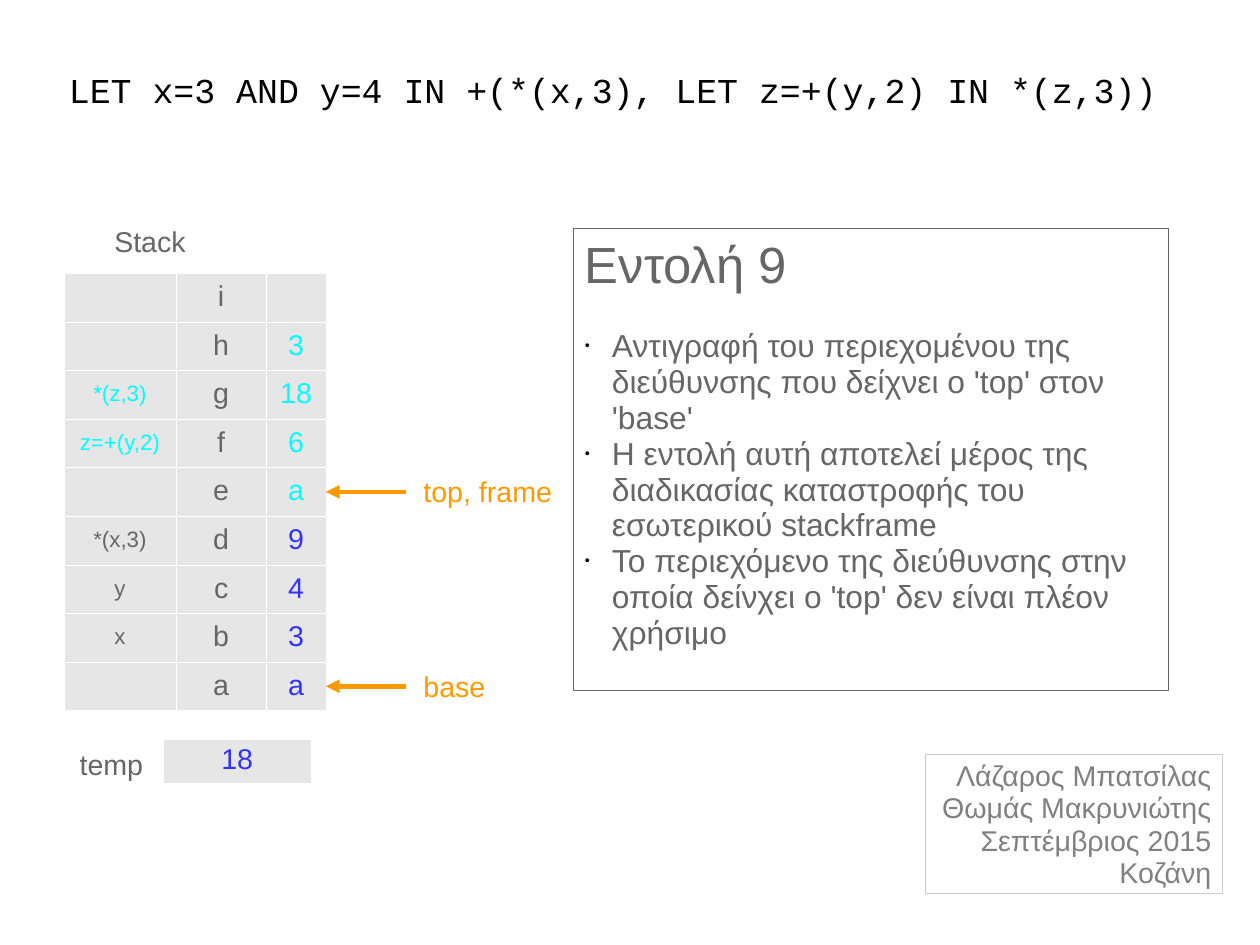
import pptx
import pptx.dml.color
import pptx.enum.shapes
import pptx.enum.text
import pptx.oxml
import pptx.oxml.ns
import pptx.util
from pptx.util import Cm

GREY, BLUE, CYAN, ORANGE = "666666", "3333FF", "00FFFF", "FF9900"
ALIGN = pptx.enum.text.PP_ALIGN
ANCHOR = pptx.enum.text.MSO_ANCHOR


def color(hex_string):
    return pptx.dml.color.RGBColor.from_string(hex_string)


def add_xml(parent, xml, index=None):
    """Parse a drawing element and put it into its parent."""
    tag, rest = xml[1:].split(" ", 1)
    namespace = pptx.oxml.ns.nsdecls("a")
    element = pptx.oxml.parse_xml(f"<{tag} {namespace} {rest}")
    parent.insert(len(parent) if index is None else index, element)


def write_text(text, paragraph, size=18, font="Arial", hex_color=GREY,
               align=ALIGN.LEFT, spacing=0.94, after=0, bullet=False):
    paragraph.alignment = align
    paragraph.line_spacing = spacing
    paragraph.space_after = pptx.util.Pt(after)
    run = paragraph.add_run()
    run.text = text
    run.font.size = pptx.util.Pt(size)
    run.font.name = font
    run.font.color.rgb = color(hex_color)
    if bullet:
        properties = paragraph._p.get_or_add_pPr()
        properties.set("marL", str(Cm(0.6)))
        properties.set("indent", str(-Cm(0.6)))
        add_xml(properties, '<a:buClr ><a:srgbClr val="000000"/></a:buClr>')
        add_xml(properties, '<a:buSzPct val="45000"/>')
        add_xml(properties, '<a:buFont typeface="Arial"/>')
        add_xml(properties, '<a:buChar char="•"/>')


class StackSlide:
    def __init__(self, presentation):
        self.shapes = presentation.slides.add_slide(presentation.slide_layouts[6]).shapes
        self.cell_fill = "E6E6E6"
        self.cell_border = "FFFFFF"

    def fill_frame(self, frame, lines, top, **text_format):
        """Write a list of (text, own format) pairs into a frame."""
        frame.word_wrap = True
        frame.margin_left = frame.margin_right = Cm(0.25)
        frame.margin_top, frame.margin_bottom = Cm(top), Cm(0.13)
        frame.vertical_anchor = ANCHOR.TOP
        for number, (text, own_format) in enumerate(lines):
            paragraph = frame.add_paragraph() if number else frame.paragraphs[0]
            write_text(text, paragraph, **{**text_format, **own_format})

    def label(self, text, left, top, width, height=0.97, **text_format):
        shape = self.shapes.add_textbox(Cm(left), Cm(top), Cm(width), Cm(height))
        self.fill_frame(shape.text_frame, [(text, {})], 0.15, **text_format)
        return shape

    def box(self, lines, left, top, width, height, line_color, inset, **text_format):
        shape = self.shapes.add_shape(pptx.enum.shapes.MSO_SHAPE.RECTANGLE,
                                      Cm(left), Cm(top), Cm(width), Cm(height))
        shape.shadow.inherit = False
        shape.fill.background()
        shape.line.color.rgb = color(line_color)
        shape.line.width = pptx.util.Pt(0.75)
        self.fill_frame(shape.text_frame, lines, inset, **text_format)

    def table(self, rows, left, top, widths, row_height, anchor):
        """Each cell is None or a (text, size, colour) triple."""
        table = self.shapes.add_table(len(rows), len(widths), Cm(left), Cm(top),
                                      Cm(sum(widths)), Cm(row_height * len(rows))).table
        table.first_row = table.horz_banding = False
        for column, width in zip(table.columns, widths):
            column.width = Cm(width)
        for row, contents in zip(table.rows, rows):
            row.height = Cm(row_height)
            for cell, content in zip(row.cells, contents):
                self.style_cell(cell, anchor)
                if content:
                    text, size, hex_color = content
                    write_text(text, cell.text_frame.paragraphs[0], size=size,
                               hex_color=hex_color, align=ALIGN.CENTER)

    def style_cell(self, cell, anchor):
        cell.vertical_anchor = anchor
        cell.fill.solid()
        cell.fill.fore_color.rgb = color(self.cell_fill)
        for index, side in enumerate("LRTB"):
            add_xml(cell._tc.get_or_add_tcPr(),
                    f'<a:ln{side} w="762"><a:solidFill><a:srgbClr val="{self.cell_border}"/>'
                    f'</a:solidFill></a:ln{side}>', index)

    def pointer(self, text, left, y):
        """Arrow pointing left at a stack cell, with its label."""
        arrow = self.shapes.add_connector(pptx.enum.shapes.MSO_CONNECTOR.STRAIGHT,
                                          Cm(left), Cm(y), Cm(left + 1.78), Cm(y))
        arrow.line.color.rgb = color(ORANGE)
        arrow.line.width = pptx.util.Pt(2.89)
        add_xml(arrow.line._get_or_add_ln(), '<a:headEnd type="triangle"/>')
        add_xml(arrow._element.spPr, "<a:effectLst />")
        self.label(text, left + 1.92, y - 0.48, 6.1, hex_color=ORANGE)


def main():
    presentation = pptx.Presentation()
    presentation.slide_width, presentation.slide_height = Cm(28), Cm(21)
    slide = StackSlide(presentation)

    # Expression being evaluated
    title = slide.label("LET x=3 AND y=4 IN +(*(x,3), LET z=+(y,2) IN *(z,3))",
                        1.02, 0.99, 25.2, 2.06, size=22, font="Courier New",
                        hex_color="000000", align=ALIGN.CENTER, spacing=0.97)
    title.text_frame.vertical_anchor = ANCHOR.MIDDLE
    title.text_frame.margin_left = title.text_frame.margin_right = 0
    title.text_frame.margin_top = title.text_frame.margin_bottom = 0

    # Stack: note, address and value; the inner frame is cyan
    inner_frame = [("", "i", ""), ("", "h", "3"), ("*(z,3)", "g", "18"),
                   ("z=+(y,2)", "f", "6"), ("", "e", "a")]
    outer_frame = [("*(x,3)", "d", "9"), ("y", "c", "4"), ("x", "b", "3"), ("", "a", "a")]
    rows = []
    for frame, note_color, value_color in ((inner_frame, CYAN, CYAN),
                                           (outer_frame, GREY, BLUE)):
        for note, address, value in frame:
            rows.append([note and (note, 14, note_color), (address, 18, GREY),
                         value and (value, 18, value_color)])
    stack_left, stack_top, row_height = 1.42, 6.07, 1.08
    widths = [2.49, 2.01, 1.32]
    slide.label("Stack", 2.29, 4.88, 3.05)
    slide.table(rows, stack_left, stack_top, widths, row_height, ANCHOR.MIDDLE)

    # Temporary register
    slide.label("temp", 1.52, 16.51, 3.05)
    slide.table([[("18", 18, BLUE)]], 3.63, 16.43, [3.28], 0.97, ANCHOR.TOP)

    # Pointers into the stack
    for text, row in (("top, frame", 4), ("base", 8)):
        slide.pointer(text, stack_left + sum(widths), stack_top + (row + 0.5) * row_height)

    # Explanation of the instruction
    points = ["Αντιγραφή του περιεχομένου της διεύθυνσης που δείχνει ο 'top' στον 'base'",
              "H εντολή αυτή αποτελεί μέρος της διαδικασίας καταστροφής του "
              "εσωτερικού stackframe",
              "Το περιεχόμενο της διεύθυνσης στην οποία δείνχει ο 'top' δεν είναι "
              "πλέον χρήσιμο"]
    slide.box([("Εντολή 9", {"size": 32, "after": 21.6})]
              + [(point, {"size": 20, "bullet": True}) for point in points],
              12.75, 5.08, 13.21, 10.26, GREY, 0.2)

    # Authors and date
    authors = ["Λάζαρος Μπατσίλας", "Θωμάς Μακρυνιώτης", "Σεπτέμβριος 2015", "Κοζάνη"]
    slide.box([(line, {}) for line in authors], 20.57, 16.76, 6.6, 3.1, "CCCCCC", 0.15,
              hex_color="808080", align=ALIGN.RIGHT)

    presentation.save("out.pptx")


if __name__ == "__main__":
    main()
